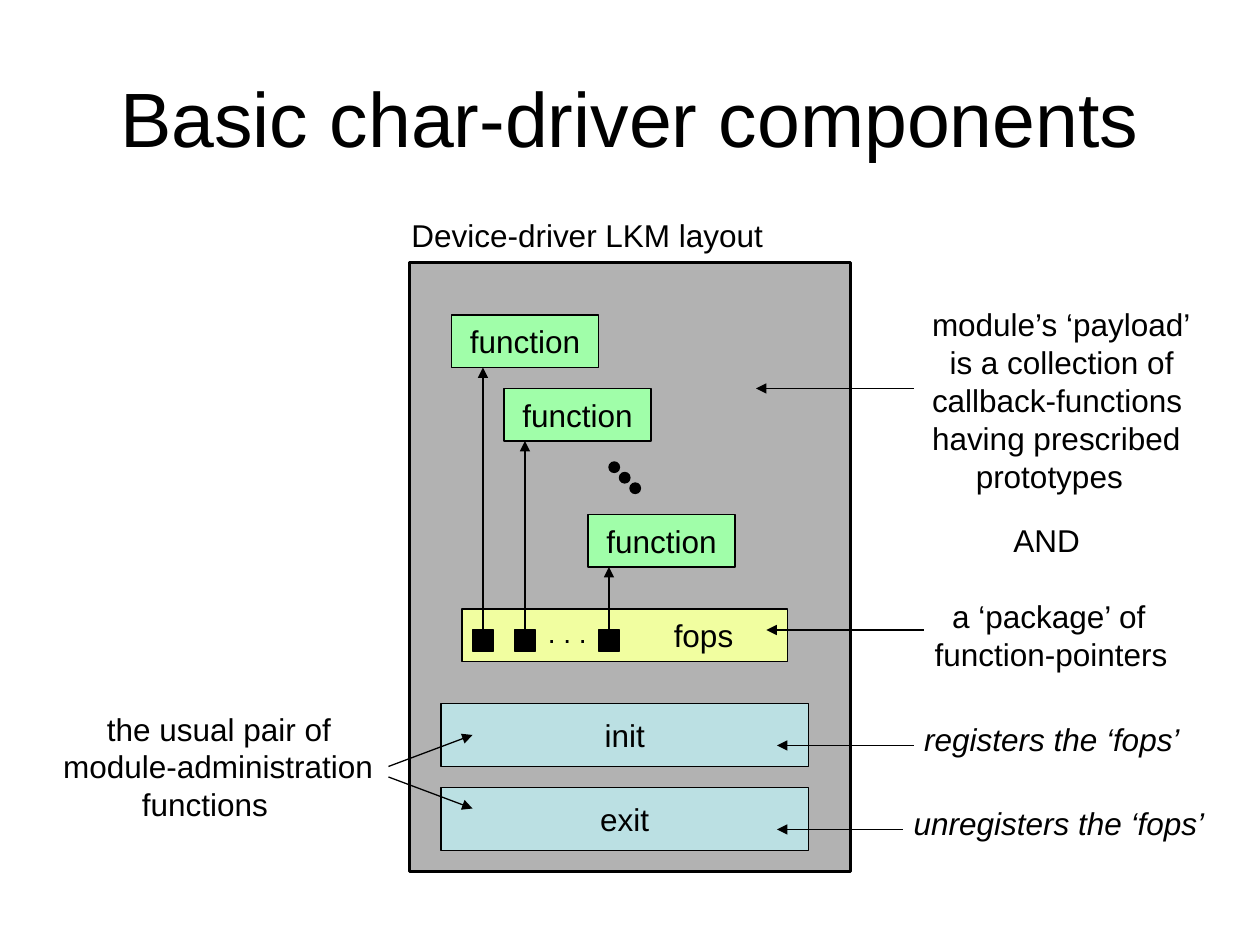
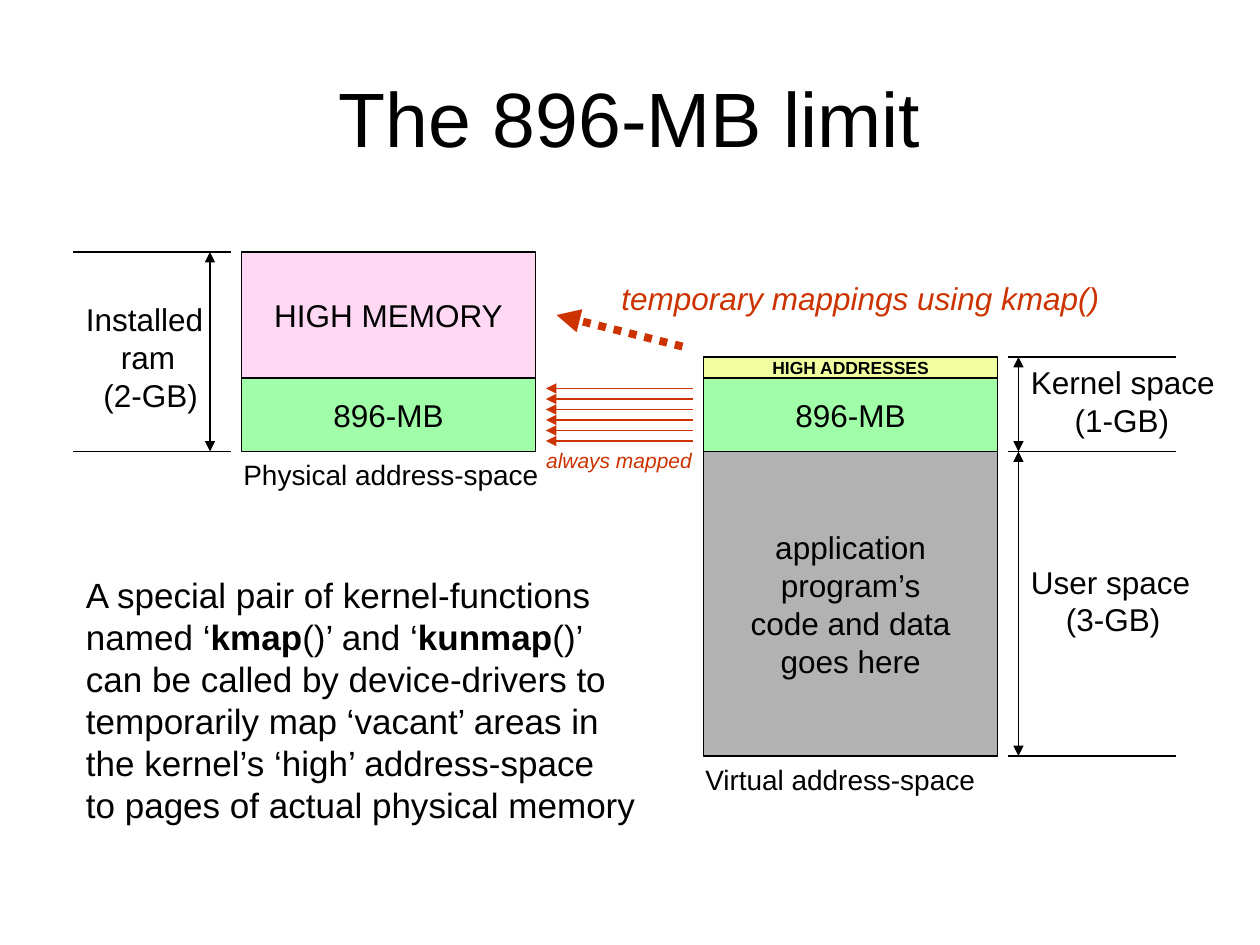
from dataclasses import dataclass

from lxml import etree
from pptx import Presentation
from pptx import util as u
from pptx.dml.color import RGBColor
from pptx.enum import dml, shapes, text
from pptx.oxml import ns


@dataclass(frozen=True)
class Theme:
    font: str = "Arial"
    ink: str = "000000"
    paper: str = "FFFFFF"
    grey: str = "B2B2B2"
    blue: str = "BBE0E3"
    yellow: str = "F1FEA0"
    green: str = "A0FEA9"
    pink: str = "FFD9F3"
    red: str = "CC3300"
    title: int = 44
    body: int = 20
    label: int = 18
    caption: int = 16
    note: int = 12
    small: int = 10
    thin: float = 0.75
    frame: float = 1.5
    dotted: float = 4.5
    space_width: float = 0.278


THEME = Theme()
COLUMNS, ROWS = 120, 90
WIDTH, HEIGHT = u.Inches(10), u.Inches(7.5)


def color(value):
    return RGBColor.from_string(value)


def write(frame, lines, size, ink=THEME.ink, align=text.PP_ALIGN.LEFT, bold=None, italic=None):
    frame.word_wrap = True
    for index, line in enumerate(lines):
        spaces, words = line if isinstance(line, tuple) else (0, line)
        paragraph = frame.paragraphs[0] if index == 0 else frame.add_paragraph()
        paragraph.alignment = align
        if spaces:
            indent = u.Pt(spaces * size * THEME.space_width)
            paragraph._p.get_or_add_pPr().set("marL", str(indent))
        font = paragraph.font
        font.name, font.size, font.bold, font.italic = THEME.font, u.Pt(size), bold, italic
        font.color.rgb = color(ink)
        for part, piece in enumerate(words.split("*")):
            run = paragraph.add_run()
            run.text = piece
            if part % 2:
                run.font.bold = True


@dataclass
class Region:
    slide: object
    left: float = 0
    top: float = 0

    def point(self, column, row):
        return (int((self.left + column) * WIDTH / COLUMNS),
                int((self.top + row) * HEIGHT / ROWS))

    def box(self, column, row, width, height):
        return (*self.point(column, row), int(width * WIDTH / COLUMNS), int(height * HEIGHT / ROWS))

    def block(self, box, fill, lines=(), size=THEME.label, width=THEME.thin,
              kind=shapes.MSO_SHAPE.RECTANGLE, bold=None):
        shape = self.slide.shapes.add_shape(kind, *self.box(*box))
        shape.shadow.inherit = False
        shape.fill.solid()
        shape.fill.fore_color.rgb = color(fill)
        shape.line.color.rgb = color(THEME.ink)
        shape.line.width = u.Pt(width)
        shape.text_frame.vertical_anchor = text.MSO_ANCHOR.MIDDLE
        write(shape.text_frame, lines, size, align=text.PP_ALIGN.CENTER, bold=bold)

    def label(self, box, lines, size=THEME.label, **style):
        shape = self.slide.shapes.add_textbox(*self.box(*box))
        shape.text_frame.auto_size = text.MSO_AUTO_SIZE.SHAPE_TO_FIT_TEXT
        write(shape.text_frame, lines, size, **style)
        return shape

    def line(self, start, end, heads=(), ink=THEME.ink, width=THEME.thin, dash=None):
        connector = self.slide.shapes.add_connector(
            shapes.MSO_CONNECTOR.STRAIGHT, *self.point(*start), *self.point(*end))
        connector.line.color.rgb = color(ink)
        connector.line.width = u.Pt(width)
        if dash:
            connector.line.dash_style = dash
        outline = connector.line._get_or_add_ln()
        for head in heads:
            etree.SubElement(outline, ns.qn(f"a:{head}"), type="triangle")
        etree.SubElement(connector._element.spPr, ns.qn("a:effectLst"))

    def arrow(self, start, end, **style):
        self.line(start, end, ("tailEnd",), **style)

    def span(self, start, end):
        self.line(start, end, ("headEnd", "tailEnd"))


def titled_slide(presentation, title):
    slide = presentation.slides.add_slide(presentation.slide_layouts[6])
    shape = slide.shapes.add_textbox(*Region(slide).box(6, 3.6, 108, 15))
    shape.text_frame.vertical_anchor = text.MSO_ANCHOR.MIDDLE
    write(shape.text_frame, [title], THEME.title, align=text.PP_ALIGN.CENTER)
    return slide


def module_layout(region):
    region.block((0, 0, 42, 58), THEME.grey, width=THEME.frame)
    region.label((-1, -5, 37, 4.8), ["Device-driver LKM layout"])
    for row, name in ((42, "init"), (50, "exit")):
        region.block((3, row, 35, 6), THEME.blue, [name])
    region.block((5, 33, 31, 5), THEME.yellow, [(18, "fops")])
    for column, row, slot in ((4, 5, 6), (9, 12, 10), (17, 24, 18)):
        region.block((column, row, 14, 5), THEME.green, ["function"])
        region.arrow((slot + 1, 35), (slot + 1, row + 5))
        region.block((slot, 35, 2, 2), THEME.ink)
    region.label((12, 33, 7, 4.4), [". . ."], THEME.caption)
    for step in range(3):
        region.block((19 + step, 19 + step, 1, 1), THEME.ink, kind=shapes.MSO_SHAPE.OVAL)


def payload_notes(region):
    region.label((0.75, 0, 29, 19.2), [
        (1, "module’s ‘payload’"), (3, "is a collection of"), (1, "callback-functions"),
        (1, "having prescribed"), (6, "prototypes")])
    region.label((1, 20.5, 19, 4.8), [(10, "AND")])
    region.label((1, 27.75, 27, 8.4), [(3, "a ‘package’ of"), (1, "function-pointers")])
    region.label((0, 39.5, 29, 4.8), [(1, "registers the ‘fops’")], italic=True)
    region.label((-1, 47.5, 32, 4.8), [(1, "unregisters the ‘fops’")], italic=True)
    for start, end, row in ((1, -14, 8.5), (2, -13, 31.5), (1, -12, 42.5), (0, -12, 50.5)):
        region.arrow((start, row), (end, row))


def administration_note(region):
    region.label((0, 0, 34, 12), [
        (6, "the usual pair of"), (1, "module-administration"), (10, "functions")])
    region.arrow((33, 6), (41, 3))
    region.arrow((33, 7), (41, 10))


def physical_memory(region):
    region.block((0, 0, 28, 12), THEME.pink, ["HIGH MEMORY"])
    region.block((0, 12, 28, 7), THEME.green, ["896-MB"])
    region.label((-1, 19, 32, 4.4), ["Physical address-space"], THEME.caption)
    for row in (0, 19):
        region.line((-1, row), (-16, row))
    region.span((-3, 0), (-3, 19))
    region.label((-16, 4, 15, 12), ["Installed", (4, "ram"), (2, "(2-GB)")])


def virtual_memory(region):
    region.block((0, 9, 28, 29), THEME.grey,
                 ["application", "program’s", "code and data", "goes here"])
    region.block((0, 0, 28, 2), THEME.yellow, ["HIGH ADDRESSES"], THEME.small, bold=True)
    region.block((0, 2, 28, 7), THEME.green, ["896-MB"])
    region.label((-1, 38, 29, 4.4), ["Virtual address-space"], THEME.caption)
    for row in (0, 9, 38):
        region.line((29, row), (45, row))
    for start, end in ((0, 9), (9, 38)):
        region.span((30, start), (30, end))
    region.label((30, 0, 21, 8.4), ["Kernel space", (5, "(1-GB)")])
    region.label((30, 19, 19, 8.4), ["User space", (4, "(3-GB)")])


def mappings(region):
    always = region.label((-2, 16, 18, 3.5), [(1.5, "always mapped")], THEME.note,
                          ink=THEME.red, italic=True)
    always.line.color.rgb = color(THEME.paper)
    always.line.width = u.Pt(THEME.thin)
    for row in range(11, 17):
        region.arrow((14, row), (0, row), ink=THEME.red)
    region.arrow((13, 7), (1, 4), ink=THEME.red, width=THEME.dotted,
                 dash=dml.MSO_LINE.ROUND_DOT)
    region.label((6, 0, 49, 4.8), ["temporary mappings using kmap()"],
                 ink=THEME.red, italic=True)


def kmap_summary(region):
    region.label((0, 0, 63.2, 25.2), [
        "A special pair of kernel-functions",
        "named ‘*kmap*()’ and ‘*kunmap*()’",
        "can be called by device-drivers to",
        "temporarily map ‘vacant’ areas in",
        "the kernel’s ‘high’ address-space",
        "to pages of actual physical memory"], THEME.body)


def driver_slide(presentation):
    slide = titled_slide(presentation, "Basic char-driver components")
    module_layout(Region(slide, 39, 25))
    payload_notes(Region(slide, 86, 28.5))
    administration_note(Region(slide, 4, 67))


def limit_slide(presentation):
    slide = titled_slide(presentation, "The 896-MB limit")
    mappings(Region(slide, 52, 26))
    physical_memory(Region(slide, 23, 24))
    virtual_memory(Region(slide, 67, 34))
    kmap_summary(Region(slide, 7, 54))


def main():
    presentation = Presentation()
    presentation.slide_width, presentation.slide_height = WIDTH, HEIGHT
    driver_slide(presentation)
    limit_slide(presentation)
    presentation.save("out.pptx")


if __name__ == "__main__":
    main()
